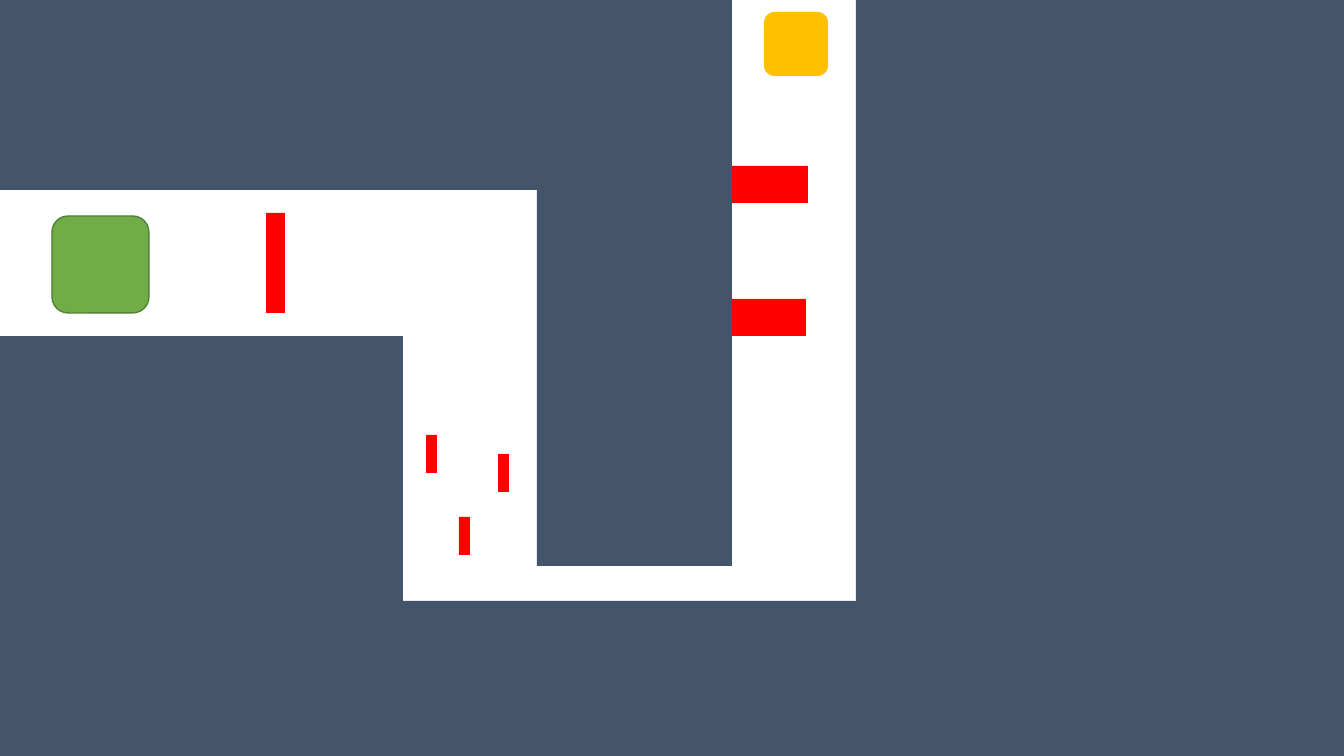
from pptx import Presentation
from pptx.dml.color import RGBColor
from pptx.enum.shapes import MSO_SHAPE as Shape
from pptx.util import Pt

COLORS = {
    "wall": "44546A",
    "obstacle": "FF0000",
    "player": "70AD47",
    "player_edge": "538035",
    "goal": "FFC000",
}
SLIDE_SIZE = (1344, 756)
PLAYER = (52, 216, 97, 97)
GOAL = (764, 12, 64, 64)
GATE = (266, 213, 19, 100)
PEG_SIZE = (11, 38)
PEGS = [(426, 435), (498, 454), (459, 517)]
LEDGE_SIZE = (106, 37)
LEDGES = [(702, 166), (700, 299)]
WALLS = [
    (0, 0, 634, 190),
    (0, 336, 403, 420),
    (537, 0, 195, 566),
    (856, 0, 488, 623),
    (403, 601, 941, 155),
]
EMU_PER_PX = 914400 / 100.8


def px(length):
    return round(length * EMU_PER_PX)


def add_block(slide, box, fill, kind=Shape.RECTANGLE, edge=None):
    block = slide.shapes.add_shape(kind, *map(px, box))
    block.shadow.inherit = False
    block.fill.solid()
    block.fill.fore_color.rgb = RGBColor.from_string(COLORS[fill])
    if edge:
        block.line.color.rgb = RGBColor.from_string(COLORS[edge])
        block.line.width = Pt(1)
    else:
        block.line.fill.background()


def main():
    deck = Presentation()
    deck.slide_width, deck.slide_height = map(px, SLIDE_SIZE)
    maze = deck.slides.add_slide(deck.slide_layouts[6])

    add_block(maze, PLAYER, "player", Shape.ROUNDED_RECTANGLE, "player_edge")
    add_block(maze, GOAL, "goal", Shape.ROUNDED_RECTANGLE)
    pegs = [corner + PEG_SIZE for corner in PEGS]
    ledges = [corner + LEDGE_SIZE for corner in LEDGES]
    for obstacle in [GATE, *pegs, *ledges]:
        add_block(maze, obstacle, "obstacle")
    for wall in WALLS:
        add_block(maze, wall, "wall")

    deck.save("out.pptx")


if __name__ == "__main__":
    main()
